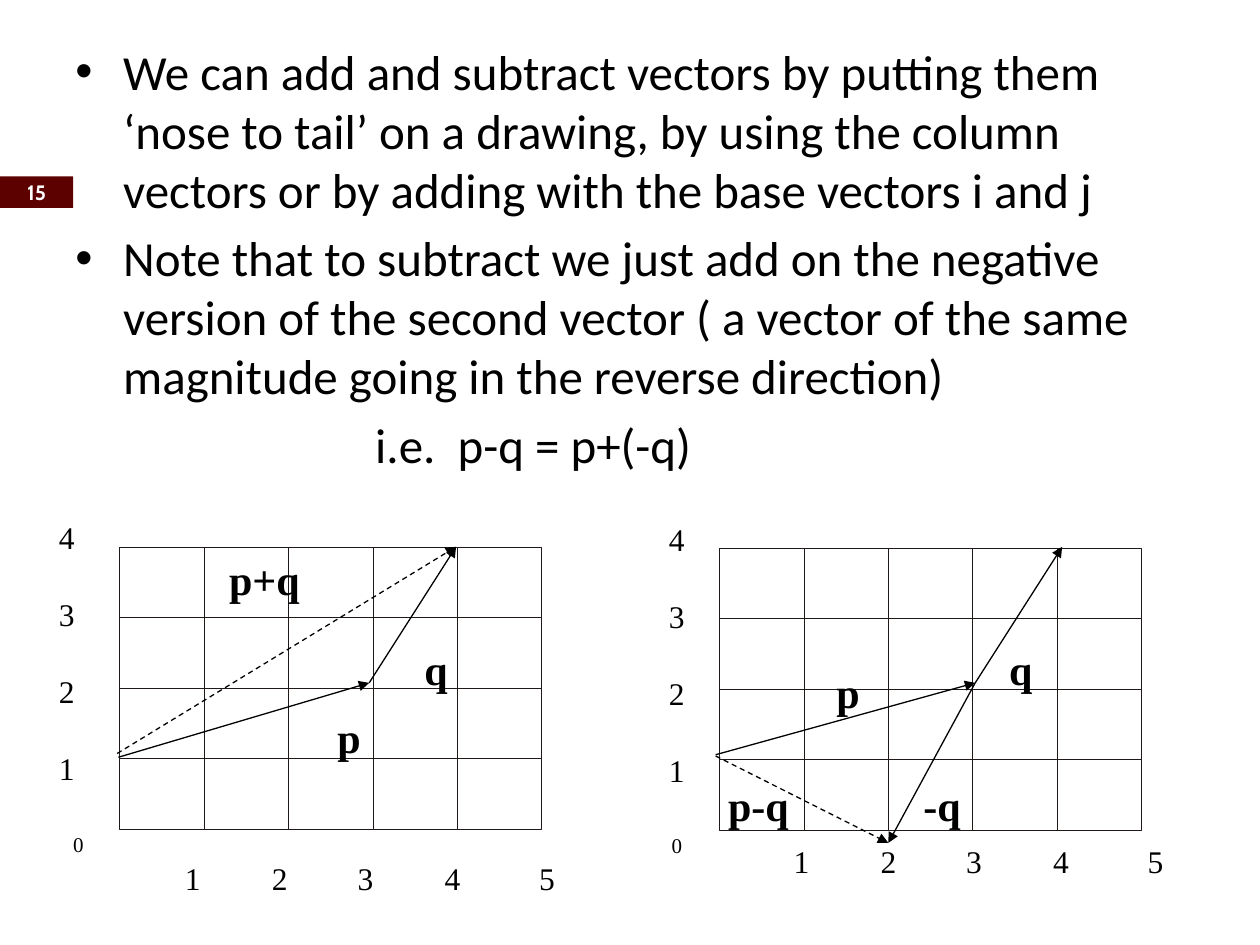
from dataclasses import dataclass
from lxml.etree import SubElement
from pptx import Presentation
from pptx.dml.color import RGBColor
from pptx.enum.dml import MSO_LINE_DASH_STYLE as Dash
from pptx.enum.shapes import MSO_CONNECTOR as Connector, MSO_SHAPE as Shape
from pptx.enum.text import MSO_ANCHOR as Anchor, PP_ALIGN as Align
from pptx.oxml.ns import qn
from pptx.util import Inches, Pt


@dataclass(frozen=True)
class Theme:
    ink: RGBColor = RGBColor(0, 0, 0)
    grid: RGBColor = RGBColor(0x1F, 0x1A, 0x17)
    badge: RGBColor = RGBColor(0x5C, 0, 0)
    white: RGBColor = RGBColor(255, 255, 255)
    body_font: str = "Calibri"
    graph_font: str = "Times New Roman"
    badge_font: str = "Cabin"
    body_size: float = 28
    vector_size: float = 24
    axis_size: float = 18
    origin_size: float = 12
    badge_size: float = 11.9


theme = Theme()
presentation = Presentation()
presentation.slide_width = Inches(10)
presentation.slide_height = Inches(7.5)
slide = presentation.slides.add_slide(presentation.slide_layouts[6])


def add_text(box, text, size, font=theme.graph_font, bold=False):
    shape = slide.shapes.add_textbox(*map(Inches, box))
    frame = shape.text_frame
    frame.word_wrap = True
    frame.text = text
    for paragraph in frame.paragraphs:
        for run in paragraph.runs:
            run.font.name = font
            run.font.size = Pt(size)
            run.font.bold = bold
            run.font.color.rgb = theme.ink
    return frame


def add_vector(start, end, dashed):
    line = slide.shapes.add_connector(
        Connector.STRAIGHT, *map(Inches, (*start, *end)))
    line.line.color.rgb = theme.ink
    line.line.width = Pt(0.75)
    if dashed:
        line.line.dash_style = Dash.DASH
    properties = line.line._get_or_add_ln()
    SubElement(properties, qn("a:tailEnd"), type="triangle")
    SubElement(line._element.spPr, qn("a:effectLst"))


badge = slide.shapes.add_shape(
    Shape.RECTANGLE, Inches(0), Inches(1.4), Inches(0.58), Inches(0.25))
badge.shadow.inherit = False
badge.fill.solid()
badge.fill.fore_color.rgb = theme.badge
badge.line.fill.background()
badge_frame = badge.text_frame
badge_frame.margin_top = badge_frame.margin_bottom = 0
badge_frame.vertical_anchor = Anchor.MIDDLE
badge_frame.text = "15"
badge_paragraph = badge_frame.paragraphs[0]
badge_paragraph.alignment = Align.CENTER
badge_font = badge_paragraph.runs[0].font
badge_font.name = theme.badge_font
badge_font.size = Pt(theme.badge_size)
badge_font.bold = True
badge_font.color.rgb = theme.white

body_lines = [
    "We can add and subtract vectors by putting them ‘nose to tail’ on a drawing, "
    "by using the column vectors or by adding with the base vectors i and j",
    "Note that to subtract we just add on the negative version of the second vector "
    "( a vector of the same magnitude going in the reverse direction)",
    "i.e.  p-q = p+(-q)",
]
body = add_text((0.5, 0.28, 9, 3.7), "\n".join(body_lines),
                theme.body_size, theme.body_font)
for paragraph in body.paragraphs:
    paragraph.space_before = Pt(0.2 * theme.body_size)
for paragraph in body.paragraphs[:2]:
    properties = paragraph._p.get_or_add_pPr()
    properties.set("marL", str(Inches(0.38)))
    properties.set("indent", str(-Inches(0.38)))
    SubElement(properties, qn("a:buFont"), typeface="Arial")
    SubElement(properties, qn("a:buChar"), char="•")
body.paragraphs[2]._p.get_or_add_pPr().set("marL", str(Inches(2.38)))

columns, rows = 5, 4
cell_width, cell_height = 0.67, 0.56
graphs = [
    {
        "grid": (0.95, 4.34),
        "vertical_axis": (0.37, 4.06),
        "horizontal_axis": (1.37, 6.77),
        "origin": (0.58, 6.6),
        "vectors": [
            ((0.94, 6.01), (2.93, 5.42), False),
            ((2.93, 5.42), (3.62, 4.34), False),
            ((0.93, 5.98), (3.62, 4.34), True),
        ],
        "labels": [("p", 2.58, 5.6), ("q", 3.27, 5.06), ("p+q", 1.72, 4.34)],
    },
    {
        "grid": (5.71, 4.35),
        "vertical_axis": (5.21, 4.08),
        "horizontal_axis": (6.2, 6.63),
        "origin": (5.33, 6.61),
        "vectors": [
            ((5.68, 5.99), (7.74, 5.42), False),
            ((7.74, 5.42), (8.43, 4.34), False),
            ((5.68, 6), (7.05, 6.69), True),
            ((7.74, 5.42), (7.05, 6.69), False),
        ],
        "labels": [("p", 6.54, 5.24), ("q", 7.91, 5.06),
                   ("p-q", 5.68, 6.14), ("-q", 7.23, 6.14)],
    },
]

for graph in graphs:
    left, top = graph["grid"]
    for column in range(columns):
        for row in range(rows):
            cell = slide.shapes.add_shape(
                Shape.RECTANGLE,
                Inches(left + column * cell_width),
                Inches(top + row * cell_height),
                Inches(cell_width), Inches(cell_height))
            cell.shadow.inherit = False
            cell.fill.background()
            cell.line.color.rgb = theme.grid
            cell.line.width = Pt(0.25)

    vertical_axis = add_text((*graph["vertical_axis"], 0.46, 2.45),
                             "4\n3\n2\n1", theme.axis_size)
    for paragraph in vertical_axis.paragraphs[1:]:
        paragraph.space_before = Pt(22.4)

    horizontal_axis = add_text((*graph["horizontal_axis"], 3.3, 0.42),
                               "1\t2\t3\t4\t5", theme.axis_size)
    properties = horizontal_axis.paragraphs[0]._p.get_or_add_pPr()
    tab_stops = SubElement(properties, qn("a:tabLst"))
    for stop in (0.69, 1.37, 2.06, 2.81):
        SubElement(tab_stops, qn("a:tab"), pos=str(Inches(stop)), algn="l")

    origin = add_text((*graph["origin"], 0.12, 0.34), "0", theme.origin_size)
    origin.margin_left = origin.margin_right = 0
    origin.margin_top = origin.margin_bottom = 0

    for start, end, dashed in graph["vectors"]:
        add_vector(start, end, dashed)
    for text, label_left, label_top in graph["labels"]:
        label_width = 0.25 + 0.2 * len(text)
        add_text((label_left, label_top, label_width, 0.5), text,
                 theme.vector_size, bold=True)

presentation.save("out.pptx")
